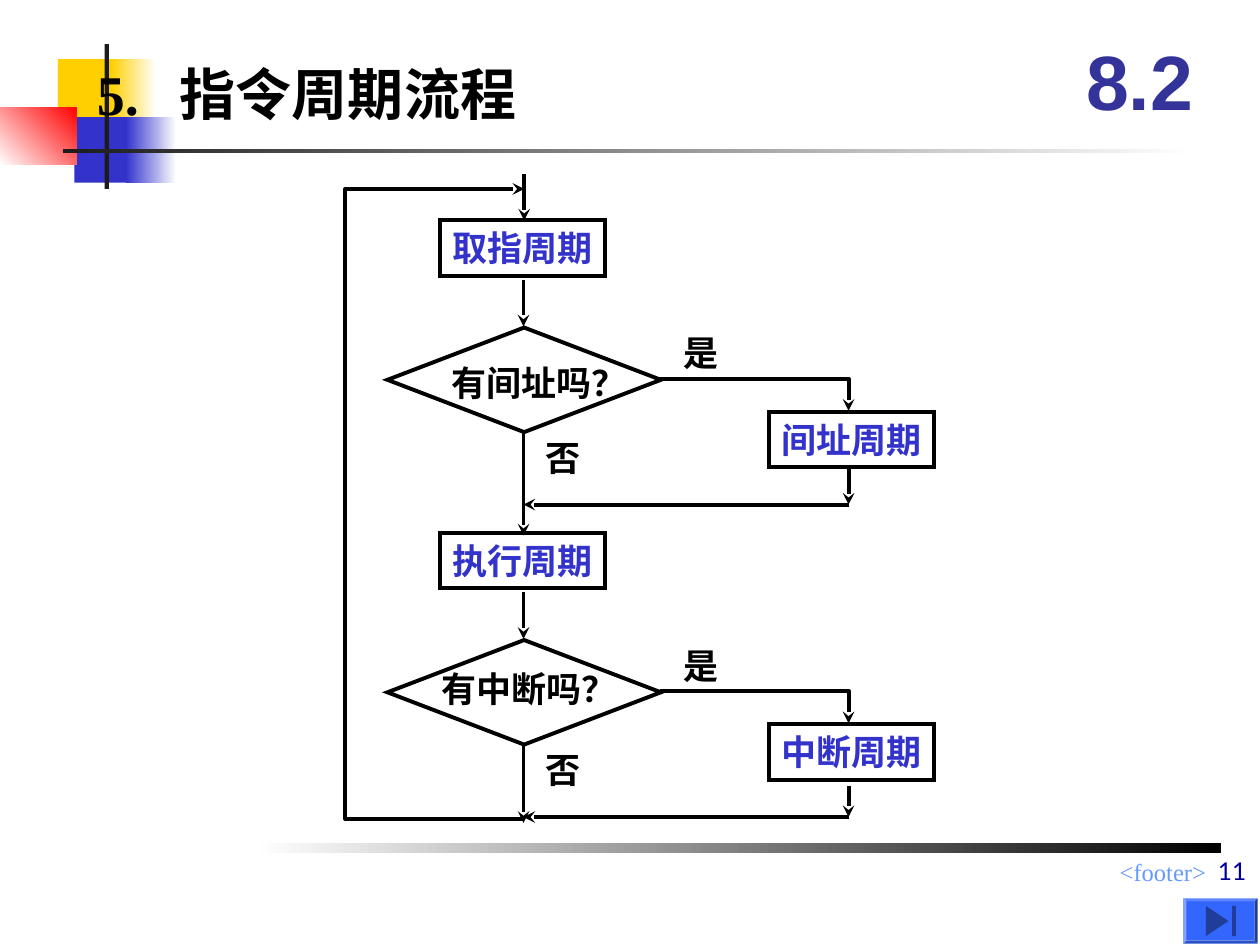
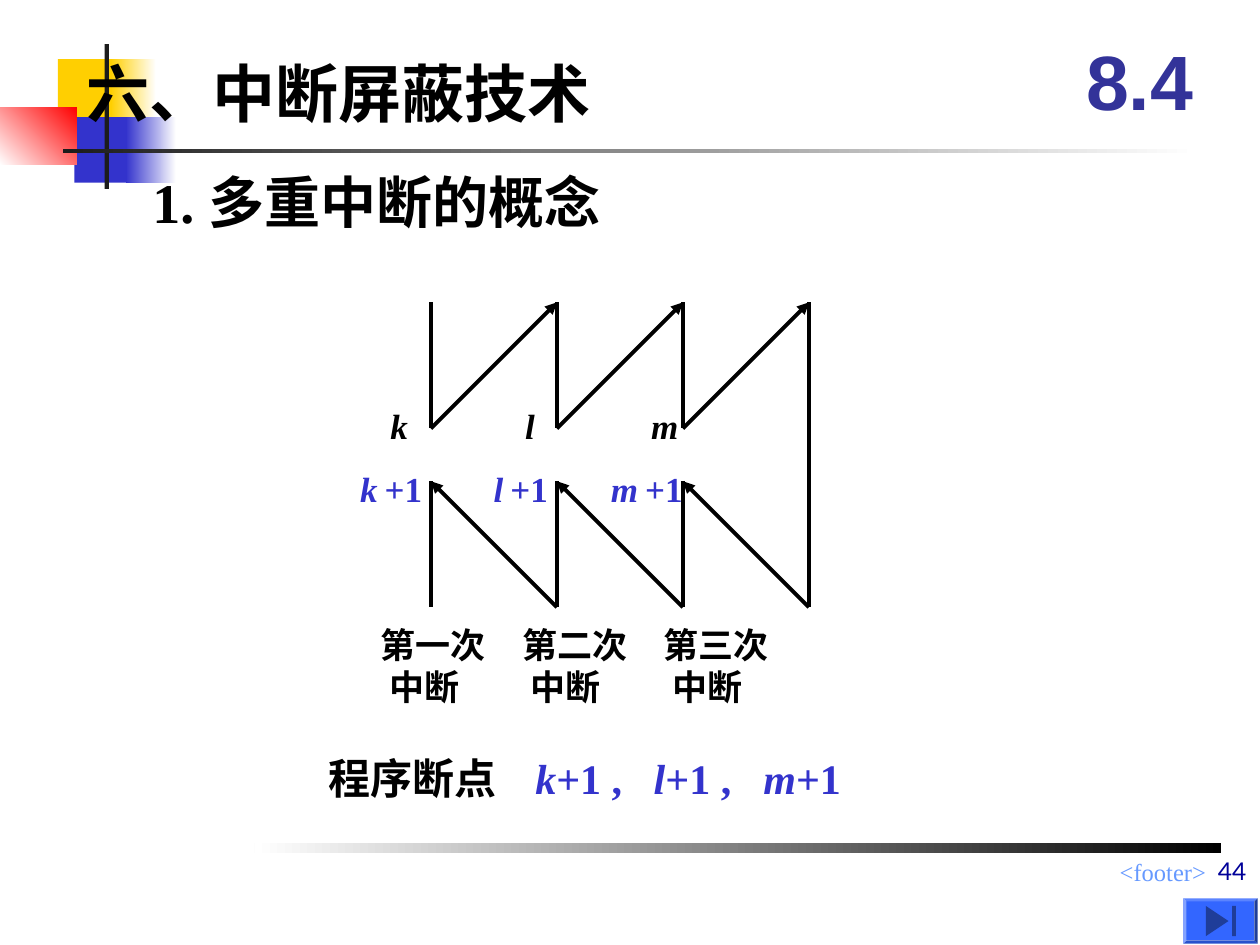
import pptx
import pptx.dml.color
import pptx.enum.shapes
import pptx.enum.text
import pptx.oxml
import pptx.oxml.ns
import pptx.util
from lxml import etree

SHAPES = pptx.enum.shapes.MSO_SHAPE
ALIGN = pptx.enum.text.PP_ALIGN
ANCHOR = pptx.enum.text.MSO_ANCHOR

# Grid: 100 columns by 75 rows of 0.1 inch
COLUMNS, ROWS = 100, 75
BLACK, WHITE, DARK = "000000", "FFFFFF", "1C1C1C"
BLUE, YELLOW, RED = "3333CC", "FFCF01", "FF0000"
SECTION, FOOTER, NUMBER = "333399", "6699FF", "000099"
BUTTON, BUTTON_ICON = "3366FF", "1F3D99"
SERIF, SANS, NUMBER_FONT = "Times New Roman", "Arial", "Lato"
LINE_WIDTH = 2.25


def grid(cells):
    return pptx.util.Inches(round(cells / 10, 3))


def color(code):
    return pptx.dml.color.RGBColor.from_string(code)


def add_xml(parent, tag, **attributes):
    return etree.SubElement(parent, pptx.oxml.ns.qn(tag), **attributes)


# Shared drawing helpers; each box is (left, top, width, height) in grid cells
def draw(page, kind, box, fill=None, line=None):
    shape = page.shapes.add_shape(kind, *map(grid, box))
    shape.shadow.inherit = False
    if fill:
        shape.fill.solid()
        shape.fill.fore_color.rgb = color(fill)
    else:
        shape.fill.background()
    if line:
        shape.line.color.rgb = color(line)
        shape.line.width = pptx.util.Pt(LINE_WIDTH)
        outline = shape._element.spPr.find(pptx.oxml.ns.qn("a:ln"))
        add_xml(outline, "a:miter", lim="800000")
    else:
        shape.line.fill.background()
    return shape


def fade(page, box, start, end, angle=180):
    shape = draw(page, SHAPES.RECTANGLE, box)
    shape.fill.gradient()
    shape.fill.gradient_angle = angle
    for stop, code in zip(shape.fill.gradient_stops, (start, end)):
        stop.color.rgb = color(code)


def route(page, points, head=None):
    """Draw a line through the points, with an optional arrowhead at its end."""
    places = [(grid(x), grid(y)) for x, y in points]
    if len(places) == 2:
        line = page.shapes.add_connector(
            pptx.enum.shapes.MSO_CONNECTOR.STRAIGHT, *places[0], *places[1])
    else:
        builder = page.shapes.build_freeform(*places[0])
        builder.add_line_segments(places[1:], close=False)
        line = builder.convert_to_shape()
        line.fill.background()
    line.line.color.rgb = color(BLACK)
    line.line.width = pptx.util.Pt(LINE_WIDTH)
    properties = line._element.spPr
    if head:
        add_xml(properties.find(pptx.oxml.ns.qn("a:ln")), "a:tailEnd", type=head)
    add_xml(properties, "a:effectLst")


def style(span, size, code, font=SERIF, bold=True, italic=False):
    span.font.size = pptx.util.Pt(size)
    span.font.name = font
    span.font.bold = bold
    span.font.italic = italic
    span.font.color.rgb = color(code)


def prepare(shape, wrap, anchor=ANCHOR.TOP):
    frame = shape.text_frame
    frame.word_wrap = wrap
    frame.vertical_anchor = anchor
    if not wrap:
        frame.auto_size = pptx.enum.text.MSO_AUTO_SIZE.SHAPE_TO_FIT_TEXT
    return frame


def fill_text(shape, text, size, code=BLACK, wrap=False, anchor=ANCHOR.TOP,
              align=ALIGN.LEFT, **look):
    frame = prepare(shape, wrap, anchor)
    frame.text = text
    for para in frame.paragraphs:
        para.alignment = align
        for span in para.runs:
            style(span, size, code, **look)
    return frame


def write(page, box, text, size, code=BLACK, **options):
    shape = page.shapes.add_textbox(*map(grid, box))
    return fill_text(shape, text, size, code, **options)


def write_spans(page, box, spans, wrap=False):
    """Write one paragraph of (text, size, colour, italic) spans."""
    frame = prepare(page.shapes.add_textbox(*map(grid, box)), wrap)
    para = frame.paragraphs[0]
    for text, size, code, italic in spans:
        span = para.add_run()
        span.text = text
        style(span, size, code, italic=italic)
    return para


def set_tabs(para, *stops):
    tabs = add_xml(para._p.get_or_add_pPr(), "a:tabLst")
    for stop in stops:
        add_xml(tabs, "a:tab", pos=str(grid(stop)), algn="l")


# Parts every slide shares
def add_corner(page, left, top):
    for x, y, width, fade_x, fade_width, code in [
            (4.6, 1.2, 4.8, 8.8, 3.6, YELLOW), (5.9, 5.8, 4.6, 10, 4, BLUE)]:
        draw(page, SHAPES.RECTANGLE, (left + x, top + y, width, 5.2), code)
        fade(page, (left + fade_x, top + y, fade_width, 5.2), WHITE, code)
    fade(page, (left, top + 5, 6.1, 4.6), RED, WHITE, angle=225)
    draw(page, SHAPES.RECTANGLE, (left + 8.3, top, 0.35, 11.5), DARK)
    fade(page, (left + 5, top + 8.3, 90, 0.35), WHITE, DARK)


def add_footer(page, left, top, number):
    fade(page, (left, top, 76.7, 0.8), BLACK, WHITE)
    write(page, (left + 19, top + 0.6, 57.5, 2.6), "<footer>", 14, FOOTER,
          wrap=True, align=ALIGN.RIGHT, bold=False)
    write(page, (left + 31.9, top - 1.1, 47.8, 5), number, 14, NUMBER, wrap=True,
          anchor=ANCHOR.BOTTOM, align=ALIGN.RIGHT, font=NUMBER_FONT, bold=False)


def add_button(page, left, top):
    bevel = draw(page, SHAPES.BEVEL, (left, top, 5.9, 3.6), BUTTON)
    bevel.adjustments[0] = 0.07
    # The triangle is turned to the right, so its box is given before the turn
    icon = draw(page, SHAPES.ISOSCELES_TRIANGLE, (left + 1.5, top + 0.9, 2.4, 1.8),
                BUTTON_ICON)
    icon.rotation = 90
    draw(page, SHAPES.RECTANGLE, (left + 3.9, top + 0.6, 0.3, 2.4), BUTTON_ICON)


def add_page(deck, section, number):
    page = deck.slides.add_slide(deck.slide_layouts[6])
    add_corner(page, 0, 3.5)
    add_footer(page, 20.2, 66.9, number)
    write(page, (84.2, 1.7, 12.5, 9.2), section, 44, SECTION, wrap=True,
          anchor=ANCHOR.MIDDLE, align=ALIGN.CENTER, font=SANS)
    add_button(page, 93.9, 71.3)
    return page


# Flowchart of the instruction cycle
def add_stage(page, left, top, process, question, question_at, branch, side_exit, end):
    """Place a process, its question and the branch beside it."""
    middle, side, merge = left + 6.6, left + 32.4, top + 22.55

    def process_box(x, y, text):
        shape = draw(page, SHAPES.RECTANGLE, (x, y, 13.1, 4.4), line=BLACK)
        fill_text(shape, text, 20, BLUE)

    process_box(left, top, process)
    process_box(left + 26.1, top + 15.2, branch)
    draw(page, SHAPES.DIAMOND, (left - 4.2, top + 8.5, 21.7, 8.3), line=BLACK)
    question_x, question_y = question_at
    for x, y, width, text in [(question_x, question_y, 15.9, question),
                              (18.3, 8.35, 4.8, "是"), (7.35, 16.65, 4.8, "否")]:
        write(page, (left + x, top + y, width, 4.4), text, 20)
    for points in [
            [(middle, top + 4.7), (middle, top + 8.4)],
            [(left + 17.4, top + 12.55), (side, top + 12.55), (side, top + 15.1)],
            [(side, top + side_exit), (side, merge)],
            [(side, merge), (middle, merge)],
            [(middle, top + 16.9), (middle, top + end)]]:
        route(page, points, "stealth")


def add_flowchart(page, left, top):
    middle, loop_top, loop_bottom = left + 14.2, top + 1.2, top + 51.2
    stages = [("取指周期", "有间址吗？", (-0.1, 10.7), "间址周期", 19.7, 25),
              ("执行周期", "有中断吗？", (-0.9, 10.2), "中断周期", 20.1, 23)]
    for index, stage in enumerate(stages):
        add_stage(page, left + 7.55, top + 3.7 + 24.8 * index, *stage)
    route(page, [(middle, top), (middle, top + 3.7)], "stealth")
    route(page, [(middle, loop_bottom), (left, loop_bottom),
                 (left, loop_top), (middle, loop_top)], "stealth")


def add_cycle_slide(deck):
    page = add_page(deck, "8.2", "11")
    title = write(page, (6.7, 4.2, 62.5, 6.4), "5.\t指令周期流程", 32, wrap=True)
    set_tabs(title.paragraphs[0], 6.6)
    add_flowchart(page, 27.4, 13.8)


# Zigzag of nested interrupts
def add_zigzag(page, left, top):
    step, back, bottom = 10, top + 14.2, top + 24.2
    # Label offsets from each call line: name, its left, its return label's left
    calls = [("k", -4.2, -6.6, 3.4, 6.9, "第一次"),
             ("l", -3.5, -6, 2.7, 6.3, "第二次"),
             ("m", -3.5, -6.7, 4.1, 7.7, "第三次")]
    for index, (name, name_x, return_x, width, return_width, order) in enumerate(calls):
        x = left + step * index
        route(page, [(x, top), (x, top + step)])
        route(page, [(x, top + step), (x + step, top)], "triangle")
        route(page, [(x + step, bottom), (x, back)], "triangle")
        route(page, [(x, back), (x, bottom)])
        write(page, (x + name_x, top + 7.6, width, 4.4), name, 20, italic=True)
        write_spans(page, (x + return_x, top + 12.6, return_width, 4.4),
                    [(name, 20, BLUE, True), (" ", 16, BLUE, True),
                     ("+1", 20, BLUE, False)])
        # Captions wrap in a box with room to spare, so each phrase keeps one line
        caption = write(page, (left - 5 + 11.25 * index, top + 25, 11.2, 7.7),
                        order + "\n中断", 20, wrap=True)
        caption.paragraphs[1]._p.get_or_add_pPr().set("marL", str(grid(0.7)))
    last = left + step * len(calls)
    route(page, [(last, top), (last, bottom)])


def add_interrupt_slide(deck):
    page = add_page(deck, "8.4", "44")
    write(page, (5.9, 3.8, 42, 7), "六、中断屏蔽技术", 36)
    heading = write(page, (12.1, 13.6, 35.4, 4.7), "1. 多重中断的概念", 32,
                    anchor=ANCHOR.MIDDLE)
    heading.auto_size = pptx.enum.text.MSO_AUTO_SIZE.NONE
    heading.margin_left = heading.margin_right = 0
    heading.margin_top = heading.margin_bottom = 0
    add_zigzag(page, 34.2, 24)
    # Return addresses
    spans = [("程序断点\t", 24, BLACK, False)]
    for name, rest in [("k", "+1 ,\t"), ("l", "+1 ,\t"), ("m", "+1")]:
        spans += [(name, 24, BLUE, True), (rest, 24, BLUE, False)]
    para = write_spans(page, (25.1, 59.2, 48.2, 5), spans, wrap=True)
    set_tabs(para, 16.4, 25.8, 34.5)


def main():
    deck = pptx.Presentation()
    deck.slide_width, deck.slide_height = grid(COLUMNS), grid(ROWS)
    add_cycle_slide(deck)
    add_interrupt_slide(deck)
    deck.save("out.pptx")


if __name__ == "__main__":
    main()
